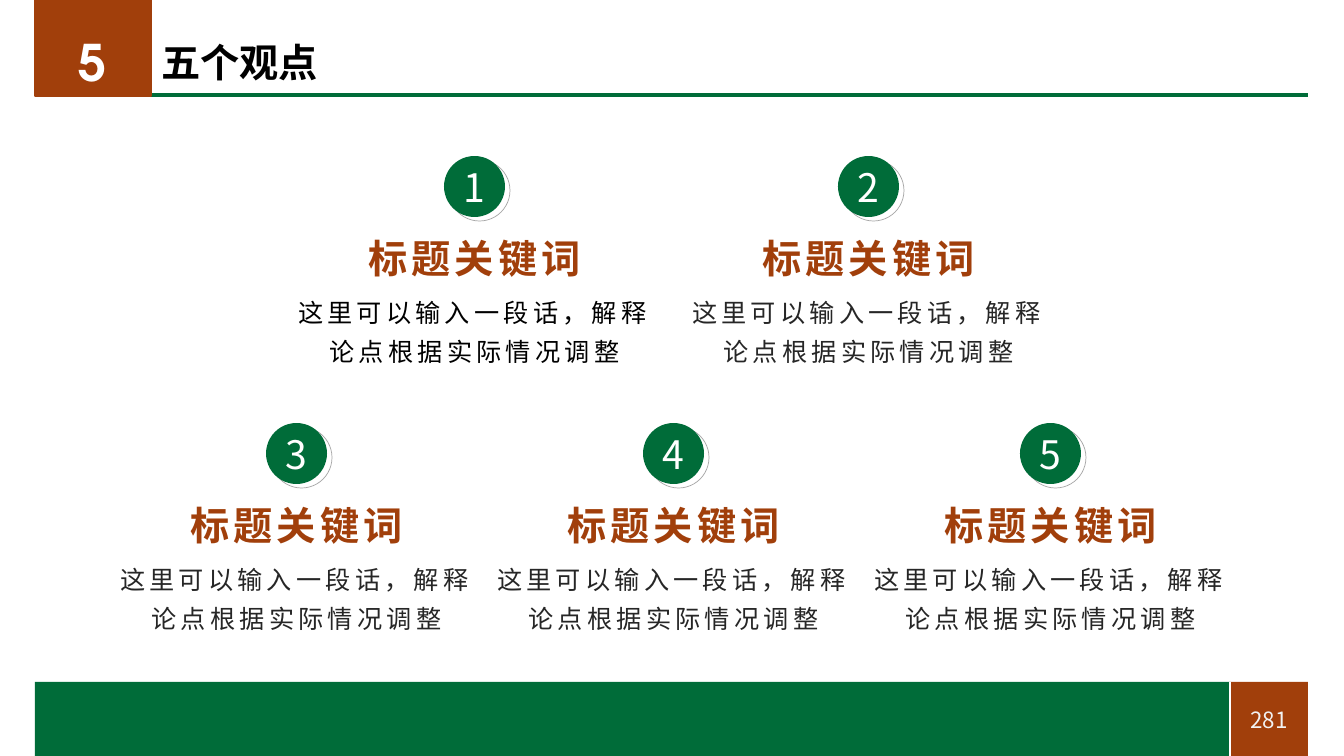
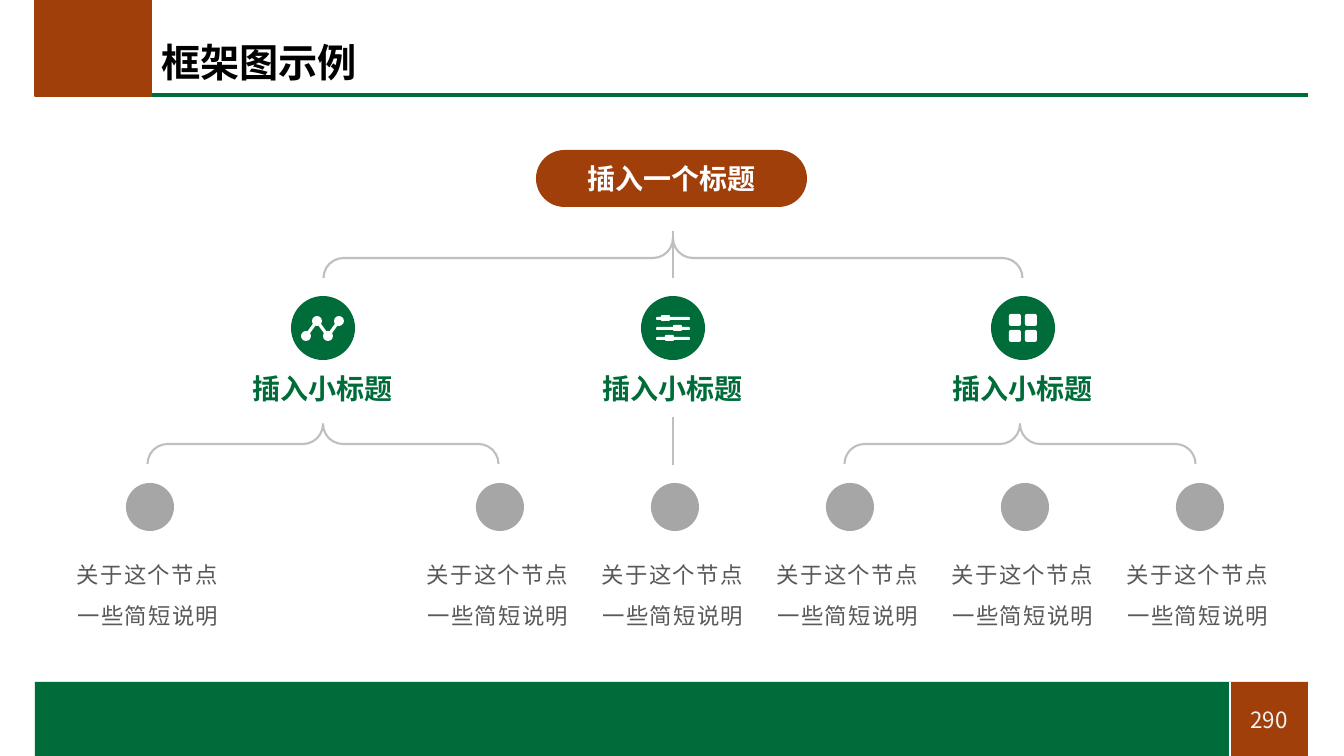
from pptx import Presentation
from pptx import util as u
from pptx.dml.color import RGBColor
from pptx.enum import shapes as s, text as t
from pptx.oxml.ns import qn
from lxml import etree

GREEN = RGBColor(0x00, 0x6C, 0x39)
RUST = RGBColor(0xA1, 0x3F, 0x0B)
WHITE = RGBColor(0xFF, 0xFF, 0xFF)
BLACK = RGBColor(0x00, 0x00, 0x00)
INK = RGBColor(0x26, 0x26, 0x26)
SLATE = RGBColor(0x59, 0x59, 0x59)
GREY = RGBColor(0xA6, 0xA6, 0xA6)
RULE = RGBColor(0xBF, 0xBF, 0xBF)
PALE = RGBColor(0xF2, 0xF2, 0xF2)

CJK = "Noto Sans CJK SC"
LATIN = "TeX Gyre Adventor"
PX_PER_INCH = 100.8
WIDTH, HEIGHT = 1344, 756
TITLE_ONLY = 5

RECT = s.MSO_SHAPE.RECTANGLE
ROUND = s.MSO_SHAPE.ROUNDED_RECTANGLE
OVAL = s.MSO_SHAPE.OVAL


def px(length):
    return round(length * u.Inches(1) / PX_PER_INCH)


class Deck:
    """Holds the shared style and the slide being drawn."""

    def __init__(self):
        self.prs = Presentation()
        self.prs.slide_width, self.prs.slide_height = px(WIDTH), px(HEIGHT)
        self.slide = None

    def start(self, title, page):
        """Add a slide with its bands, title and page number."""
        self.slide = self.prs.slides.add_slide(self.prs.slide_layouts[TITLE_ONLY])
        self.line(150, 95, 1308, 95, GREEN, 2.25)
        self.shape(RECT, 1230, 682, 78, 74, RUST)
        self.shape(RECT, 35, 0, 116, 96, RUST, RUST)
        self.shape(RECT, 35, 682, 1195, 74, GREEN)
        self.text(page, 1239, 701, 60, 37, 16, PALE, middle=True)
        self.line(1230, 682, 1230, HEIGHT, WHITE, 1)
        heading = self.slide.shapes.title
        heading.left, heading.top, heading.width, heading.height = map(px, (151, 38, 953, 53))
        self.fill_text(heading, title, 28, BLACK, bold=True, spacing=0.9,
                       align=t.PP_ALIGN.LEFT)

    def fill_text(self, shape, words, size, color, font=CJK, bold=False, tracking=0,
                  spacing=None, align=t.PP_ALIGN.CENTER, middle=True, wrap=True):
        """Put one styled run in a shape; tracking is in points."""
        frame = shape.text_frame
        frame.auto_size = t.MSO_AUTO_SIZE.NONE
        frame.word_wrap = wrap
        frame.vertical_anchor = t.MSO_ANCHOR.MIDDLE if middle else t.MSO_ANCHOR.TOP
        paragraph = frame.paragraphs[0]
        paragraph.alignment = align
        if spacing:
            paragraph.line_spacing = spacing
        run = paragraph.add_run()
        run.text = words
        run.font.size, run.font.bold, run.font.name = u.Pt(size), bold, font
        run.font.color.rgb = color
        properties = run._r.get_or_add_rPr()
        if tracking:
            properties.set("spc", str(tracking * 100))
        east_asian = etree.Element(qn("a:ea"), typeface=CJK)
        properties.find(qn("a:latin")).addnext(east_asian)

    def text(self, words, left, top, width, height, size, color, inset=True,
             middle=False, **style):
        box = self.slide.shapes.add_textbox(*map(px, (left, top, width, height)))
        if not inset:
            frame = box.text_frame
            frame.margin_left = frame.margin_right = 0
            frame.margin_top = frame.margin_bottom = 0
        self.fill_text(box, words, size, color, middle=middle, **style)

    def shape(self, kind, left, top, width, height, fill=None, line=None, weight=1):
        item = self.slide.shapes.add_shape(kind, *map(px, (left, top, width, height)))
        self.paint(item, fill, line, weight)
        return item

    def paint(self, item, fill, line, weight):
        item.shadow.inherit = False
        if fill is None:
            item.fill.background()
        else:
            item.fill.solid()
            item.fill.fore_color.rgb = fill
        if line is None:
            item.line.fill.background()
        else:
            item.line.color.rgb = line
            item.line.width = u.Pt(weight)

    def rounded(self, left, top, width, height, fill, radius=0.5):
        item = self.shape(ROUND, left, top, width, height, fill)
        item.adjustments[0] = radius
        return item

    def line(self, x1, y1, x2, y2, color=RULE, weight=1.5):
        connector = self.slide.shapes.add_connector(
            s.MSO_CONNECTOR.STRAIGHT, *map(px, (x1, y1, x2, y2)))
        connector.line.color.rgb = color
        connector.line.width = u.Pt(weight)
        etree.SubElement(connector.element.spPr, qn("a:effectLst"))

    def polyline(self, points, color, weight):
        corners = [(px(x), px(y)) for x, y in points]
        builder = self.slide.shapes.build_freeform(*corners[0])
        builder.add_line_segments(corners[1:], close=False)
        self.paint(builder.convert_to_shape(), None, color, weight)

    def brace(self, center_x, center_y, span, depth=40):
        """Draw a brace that points up and spreads over span."""
        item = self.shape(s.MSO_SHAPE.RIGHT_BRACE, center_x - depth / 2,
                          center_y - span / 2, depth, span, line=RULE, weight=1.5)
        item.rotation = 270
        item.adjustments[0] = item.adjustments[1] = 0.5

    def viewpoint(self, number, left, top, ink):
        """Draw a numbered circle with a keyword and a short text below."""
        width, circle = 361, 61
        circle_left = left + (width - circle) / 2
        self.shape(OVAL, circle_left + 5, top + 4, circle, circle, line=GREY, weight=0.5)
        badge = self.shape(OVAL, circle_left, top, circle, circle, GREEN)
        self.fill_text(badge, str(number), 28, WHITE)
        self.text("标题关键词", left, top + 73, width, 57, 28, RUST, bold=True, tracking=3)
        self.text("这里可以输入一段话，解释论点根据实际情况调整", left, top + 132,
                  width, 75, 18, ink, inset=False, tracking=3, spacing=1.3)

    def branch(self, center, icon):
        self.shape(OVAL, center - 32, 296, 64, 64, GREEN)
        icon(center, 328)
        self.text("插入小标题", center - 81, 367, 161, 44, 20, GREEN, font=LATIN,
                  bold=True, wrap=False)

    def leaf(self, left):
        self.shape(OVAL, left + 60, 483, 48, 48, GREY)
        self.text("关于这个节点一些简短说明", left, 548, 164, 111, 16, SLATE,
                  inset=False, font=LATIN, tracking=1, spacing=1.5)

    def trend_icon(self, x, y):
        nodes = [(x - 17 + 11 * i, y + (-7 if i % 2 else 8)) for i in range(4)]
        self.polyline(nodes, WHITE, 2.25)
        for node_x, node_y in nodes:
            self.shape(OVAL, node_x - 5, node_y - 5, 10, 10, WHITE)

    def sliders_icon(self, x, y):
        for row, knob in enumerate((-12, 0, -8)):
            middle = y - 10 + 10 * row
            self.rounded(x - 17, middle - 1, 34, 3, WHITE)
            self.rounded(x + knob, middle - 3, 9, 6, WHITE, 0.2)

    def grid_icon(self, x, y):
        for dx in (-14, 2):
            for dy in (-14, 2):
                self.rounded(x + dx, y + dy, 12, 12, WHITE, 0.17)


def five_viewpoints(deck):
    deck.start("五个观点", "281")
    rows = ((2, 294, 394, 156), (3, 116, 377, 423))
    number = 0
    for count, first_left, step, top in rows:
        for column in range(count):
            number += 1
            deck.viewpoint(number, first_left + column * step, top,
                           BLACK if number == 1 else INK)
    deck.text("5", 39, 26, 107, 72, 36, WHITE, font=LATIN, bold=True)


def framework(deck):
    deck.start("框架图示例", "290")
    root = deck.rounded(536, 150, 271, 57, RUST)
    deck.fill_text(root, "插入一个标题", 20, WHITE, bold=True)
    icons = (deck.trend_icon, deck.sliders_icon, deck.grid_icon)
    for column, icon in enumerate(icons):
        deck.branch(323 + 350 * column, icon)
    for column in (0, 2, 3, 4, 5, 6):
        deck.leaf(66 + 175 * column)
    for center_x, center_y, span in ((323, 444, 351), (1020, 444, 351), (673, 258, 699)):
        deck.brace(center_x, center_y, span)
    for top, bottom in ((231, 278), (417, 465)):
        deck.line(673, top, 673, bottom)


def main():
    deck = Deck()
    five_viewpoints(deck)
    framework(deck)
    deck.prs.save("out.pptx")


if __name__ == "__main__":
    main()
